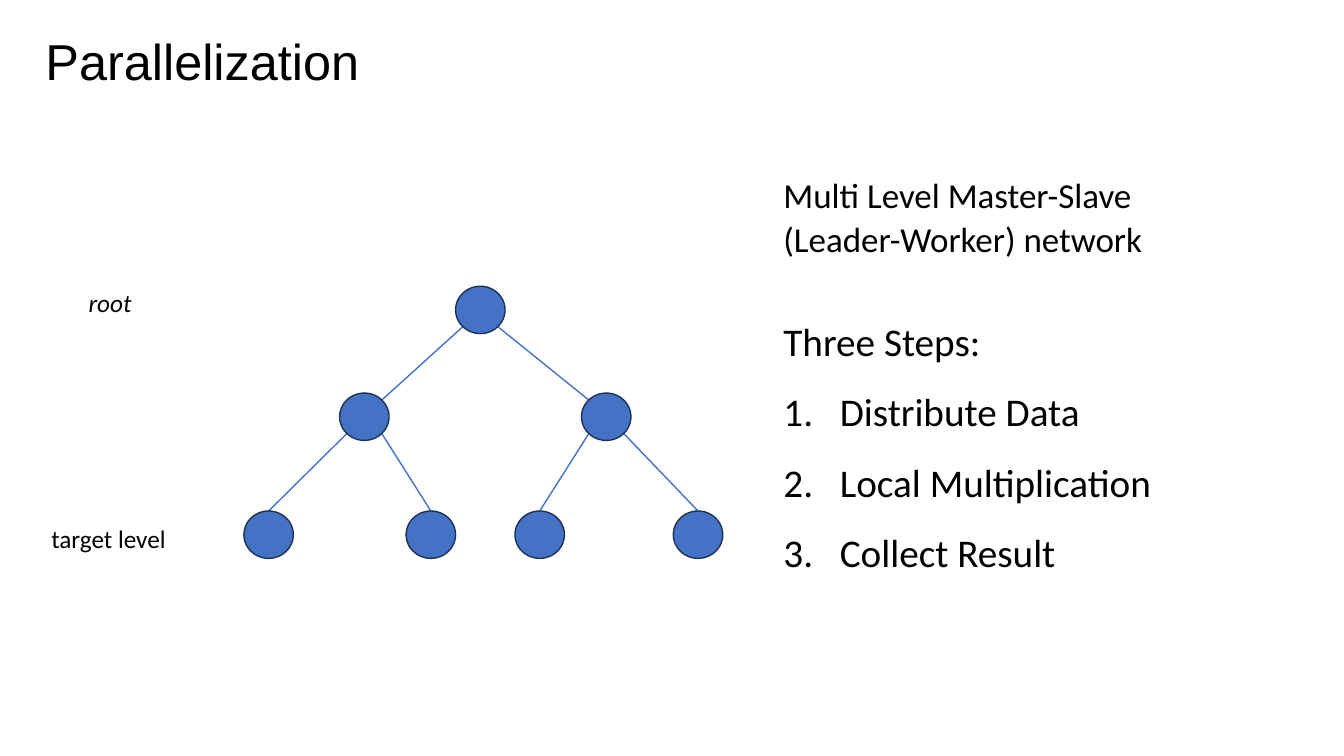
from lxml import etree
from pptx import Presentation
from pptx.dml.color import RGBColor
from pptx.enum.shapes import MSO_CONNECTOR, MSO_SHAPE
from pptx.enum.text import MSO_ANCHOR, MSO_AUTO_SIZE, PP_ALIGN
from pptx.oxml.ns import qn
from pptx.util import Inches, Pt

OVAL = MSO_SHAPE.OVAL
LINE = MSO_CONNECTOR.STRAIGHT
LEFT = PP_ALIGN.LEFT
TOP, MIDDLE = MSO_ANCHOR.TOP, MSO_ANCHOR.MIDDLE
FIXED = MSO_AUTO_SIZE.NONE

BLACK = RGBColor(0x00, 0x00, 0x00)
BLUE = RGBColor(0x44, 0x72, 0xC4)
NAVY = RGBColor(0x1E, 0x32, 0x56)

WIDE, HIGH = Inches(13.33), Inches(7.5)
COL, ROW = WIDE / 100, HIGH / 100
NODE_W, NODE_H = 3.68, 6.27
EDGE = 0.35
LEVELS = [
    (41, [35.74]),
    (55.13, [27.11, 45.11]),
    (70.73, [19.99, 32.06, 40.16, 51.94]),
]


def grid(x, y):
    """Turn a column and a row of the 100 by 100 grid into lengths."""
    return int(x * COL), int(y * ROW)


def place(shape, x, y, w, h):
    """Put a shape on the grid."""
    shape.left, shape.top = grid(x, y)
    shape.width, shape.height = grid(w, h)


def mark(para, count):
    """Number a paragraph with a hanging indent, or clear its bullet."""
    props = para._p.get_or_add_pPr()
    hang = Inches(0.56) if count else 0
    props.set("marL", str(hang))
    props.set("indent", str(-hang))
    if count:
        etree.SubElement(props, qn("a:buFont"), typeface="+mj-lt")
        etree.SubElement(props, qn("a:buAutoNum"), type="arabicPeriod")
    else:
        etree.SubElement(props, qn("a:buNone"))


def write(shape, lines, size=18, font="Calibri", italic=False, space=1.0,
          before=0, anchor=TOP, first=None):
    """Fill a shape with formatted lines, numbered from index first on."""
    frame = shape.text_frame
    frame.word_wrap = True
    frame.auto_size = FIXED
    frame.vertical_anchor = anchor
    for i, line in enumerate(lines):
        para = frame.paragraphs[0] if i == 0 else frame.add_paragraph()
        para.alignment = LEFT
        para.line_spacing = space
        para.space_before = Pt(before)
        para.space_after = Pt(0)
        mark(para, first is not None and i >= first)
        run = para.add_run()
        run.text = line
        run.font.size = Pt(size)
        run.font.name = font
        run.font.italic = italic
        run.font.color.rgb = BLACK


def label(slide, text, box, **form):
    """Add a text box that names a tree level."""
    shape = slide.shapes.add_textbox(0, 0, 0, 0)
    place(shape, *box)
    write(shape, [text], **form)


def node(slide, x, y):
    """Draw a tree node around its centre."""
    shape = slide.shapes.add_shape(OVAL, 0, 0, 0, 0)
    place(shape, x - NODE_W / 2, y - NODE_H / 2, NODE_W, NODE_H)
    shape.shadow.inherit = False
    shape.fill.solid()
    shape.fill.fore_color.rgb = BLUE
    shape.line.color.rgb = NAVY
    shape.line.width = Pt(1)


def link(slide, start, end, leaf):
    """Join a parent to the near corner of a child, or to the top of a leaf."""
    (x, y), (cx, cy) = start, end
    side = 1 if cx > x else -1
    dx, dy = side * EDGE * NODE_W, EDGE * NODE_H
    tip = (cx, cy - NODE_H / 2) if leaf else (cx - dx, cy - dy)
    line = slide.shapes.add_connector(LINE, *grid(x + dx, y + dy), *grid(*tip))
    line.line.color.rgb = BLUE
    line.line.width = Pt(1)
    etree.SubElement(line._element.spPr, qn("a:effectLst"))


def tree(slide):
    """Draw the links of the binary tree, then its nodes."""
    last = len(LEVELS) - 1
    for depth in range(1, last + 1):
        (py, above), (y, below) = LEVELS[depth - 1], LEVELS[depth]
        for i, x in enumerate(below):
            link(slide, (above[i // 2], py), (x, y), depth == last)
    for y, row in LEVELS:
        for x in row:
            node(slide, x, y)


def main():
    """Build the slide and save it."""
    deck = Presentation()
    deck.slide_width, deck.slide_height = WIDE, HIGH
    slide = deck.slides.add_slide(deck.slide_layouts[3])
    title, intro, steps = slide.placeholders

    place(title, 1.58, 2.8, 48.46, 11.33)
    write(title, ["Parallelization"], size=36, font="Arial", space=0.9,
          anchor=MIDDLE)
    title.text_frame.margin_left = Inches(0.24)

    place(intro, 57.54, 23.87, 34.51, 11.33)
    write(intro, ["Multi Level Master-Slave", "(Leader-Worker) network"],
          size=25, space=0.7, before=10)

    place(steps, 57.54, 38.13, 30.38, 38.13)
    write(steps, ["Three Steps:", "Distribute Data", "Local Multiplication",
                  "Collect Result"], size=28, space=1.5, first=1)

    tree(slide)
    label(slide, "root", (5.85, 37.33, 7.35, 5.33), italic=True)
    label(slide, "target level", (3.08, 68.53, 10.13, 5.33))
    deck.save("out.pptx")


if __name__ == "__main__":
    main()
